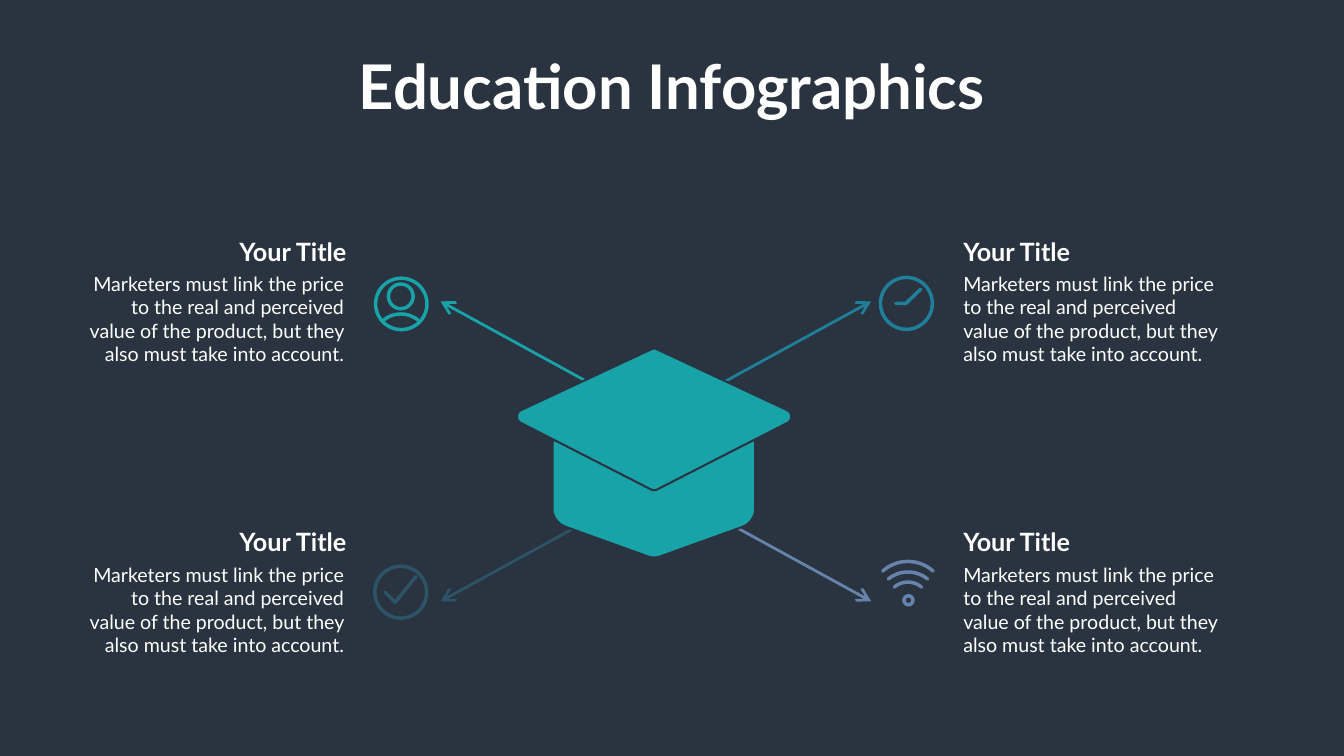
import dataclasses
import math

import lxml.etree
import pptx
import pptx.dml.color
import pptx.enum.shapes
import pptx.enum.text
import pptx.oxml.ns
import pptx.util

EMU_PER_PX = 9144
ALIGN = pptx.enum.text.PP_ALIGN
SHAPES = pptx.enum.shapes.MSO_SHAPE


@dataclasses.dataclass(frozen=True)
class Theme:
    font: str = "Lato"
    background: str = "2A3340"
    text: str = "FEFFFE"
    teal: str = "17A3A8"
    blue: str = "207F98"
    navy: str = "2C5367"
    lavender: str = "6683AB"
    title_size: int = 88
    heading_size: int = 36
    body_size: int = 28
    arrow_width: int = 4
    icon_width: int = 5
    cap_width: float = 2.89


THEME = Theme()
BODY_TEXT = ("Marketers must link the price to the real and perceived value of "
             "the product, but they also must take into account.")

# Each rounded corner: start, two curve handles, end.
CAP_BASE = [
    [(1310, 1104), (1302, 1107), (1293, 1107), (1285, 1104)],
    [(1121, 1045), (1106, 1039), (1096, 1025), (1096, 1010)],
    [(1096, 883), (1096, 863), (1113, 846), (1134, 846)],
    [(1461, 846), (1482, 846), (1498, 863), (1498, 883)],
    [(1498, 1010), (1498, 1025), (1488, 1039), (1474, 1045)],
]
CAP_BOARD = [
    [(1291, 971), (1295, 973), (1300, 973), (1304, 971)],
    [(1562, 839), (1572, 834), (1572, 819), (1562, 814)],
    [(1303, 693), (1300, 691), (1295, 691), (1292, 693)],
    [(1033, 814), (1023, 819), (1023, 834), (1033, 839)],
]


def px(length):
    return pptx.util.Emu(round(length * EMU_PER_PX))


def rgb(color):
    return pptx.dml.color.RGBColor.from_string(color)


def set_line(shape, color, width):
    shape.line.color.rgb = rgb(color)
    shape.line.width = pptx.util.Pt(width)


def write(box, text, size, align=ALIGN.LEFT, bold=False, wrap=True):
    frame = box.text_frame
    frame.word_wrap = wrap
    frame.auto_size = pptx.enum.text.MSO_AUTO_SIZE.NONE
    frame.vertical_anchor = pptx.enum.text.MSO_ANCHOR.TOP
    para = frame.paragraphs[0]
    para.alignment = align
    span = para.add_run()
    span.text = text
    span.font.name = THEME.font
    span.font.size = pptx.util.Pt(size)
    span.font.bold = bold
    span.font.color.rgb = rgb(THEME.text)


def add_title(page, text):
    title = page.shapes.title
    title.left, title.top, title.width, title.height = map(px, (688, 91, 1289, 158))
    write(title, text, THEME.title_size, align=ALIGN.CENTER, bold=True, wrap=False)


def add_text(page, left, top, width, height, text, size, **style):
    box = page.shapes.add_textbox(px(left), px(top), px(width), px(height))
    write(box, text, size, **style)


def add_caption(page, edge, top, align):
    """Add a heading and its text; edge is the side they are aligned to."""
    on_right = align == ALIGN.LEFT
    heading_left = edge if on_right else edge + 5 - 433
    body_left = edge if on_right else edge - 538
    add_text(page, heading_left, top, 433, 71, "Your Title", THEME.heading_size,
             align=align, bold=True)
    add_text(page, body_left, top + 71, 538, 199, BODY_TEXT, THEME.body_size,
             align=align)


def add_arrow(page, start, end, color):
    arrow = page.shapes.add_connector(pptx.enum.shapes.MSO_CONNECTOR.STRAIGHT,
                                      *map(px, start + end))
    set_line(arrow, color, THEME.arrow_width)
    properties = arrow.element.spPr
    lxml.etree.SubElement(properties.get_or_add_ln(), pptx.oxml.ns.qn("a:tailEnd"),
                          type="arrow", w="lg", len="lg")
    lxml.etree.SubElement(properties, pptx.oxml.ns.qn("a:effectLst"))


def add_outline(page, points, close):
    first, *rest = [(px(x), px(y)) for x, y in points]
    builder = page.shapes.build_freeform(*first)
    builder.add_line_segments(rest, close=close)
    shape = builder.convert_to_shape()
    shape.shadow.inherit = False
    return shape


def curve_points(corner, steps=10):
    """Return points along a cubic Bézier curve."""
    for step in range(steps + 1):
        t = step / steps
        weights = [math.comb(3, i) * t**i * (1 - t)**(3 - i) for i in range(4)]
        yield tuple(sum(w * point[axis] for w, point in zip(weights, corner))
                    for axis in (0, 1))


def add_cap_part(page, corners):
    points = [point for corner in corners for point in curve_points(corner)]
    part = add_outline(page, points, close=True)
    part.fill.solid()
    part.fill.fore_color.rgb = rgb(THEME.teal)
    set_line(part, THEME.background, THEME.cap_width)


def add_stroke(page, points, color):
    stroke = add_outline(page, points, close=False)
    stroke.fill.background()
    set_line(stroke, color, THEME.icon_width)
    stroke.element.spPr.get_or_add_ln().set("cap", "rnd")


def add_arc(page, center, top, half_width, rise, color, steps=24):
    radius = (half_width**2 + rise**2) / (2 * rise)
    limit = math.asin(half_width / radius)
    angles = [limit * (2 * step / steps - 1) for step in range(steps + 1)]
    add_stroke(page, [(center + radius * math.sin(angle),
                       top + radius * (1 - math.cos(angle))) for angle in angles], color)


def add_ring(page, x, y, diameter, color):
    """Add a circle line centred on x, y; diameter is that of the line's middle."""
    ring = page.shapes.add_shape(SHAPES.OVAL, px(x - diameter / 2), px(y - diameter / 2),
                                 px(diameter), px(diameter))
    ring.shadow.inherit = False
    ring.fill.background()
    set_line(ring, color, THEME.icon_width)


def add_icons(page):
    add_ring(page, 796, 603, 102, THEME.teal)
    add_ring(page, 795, 588, 49, THEME.teal)
    add_arc(page, 795, 623, 34, 12, THEME.teal)

    add_ring(page, 1798, 602, 103, THEME.blue)
    add_stroke(page, [(1777, 602), (1797, 602), (1826, 574)], THEME.blue)

    add_ring(page, 795, 1175, 103, THEME.navy)
    add_stroke(page, [(764, 1175), (784, 1195), (825, 1144)], THEME.navy)

    for top, half_width, rise in ((1114, 50, 19), (1135, 39, 14), (1155, 27, 10)):
        add_arc(page, 1801, top, half_width, rise, THEME.lavender)
    add_ring(page, 1802, 1191, 18, THEME.lavender)


def main():
    deck = pptx.Presentation()
    deck.slide_width, deck.slide_height = px(2666), px(1500)
    page = deck.slides.add_slide(deck.slide_layouts[5])
    page.background.fill.solid()
    page.background.fill.fore_color.rgb = rgb(THEME.background)

    add_title(page, "Education Infographics")
    add_arrow(page, (1301, 832), (1728, 598), THEME.blue)
    add_arrow(page, (1301, 832), (874, 598), THEME.teal)
    add_arrow(page, (1301, 959), (1728, 1193), THEME.lavender)
    add_arrow(page, (1301, 959), (874, 1193), THEME.navy)
    add_cap_part(page, CAP_BASE)
    add_cap_part(page, CAP_BOARD)
    add_icons(page)
    for top in (463, 1040):
        add_caption(page, 692, top, ALIGN.RIGHT)
        add_caption(page, 1901, top, ALIGN.LEFT)

    deck.save("out.pptx")


if __name__ == "__main__":
    main()
